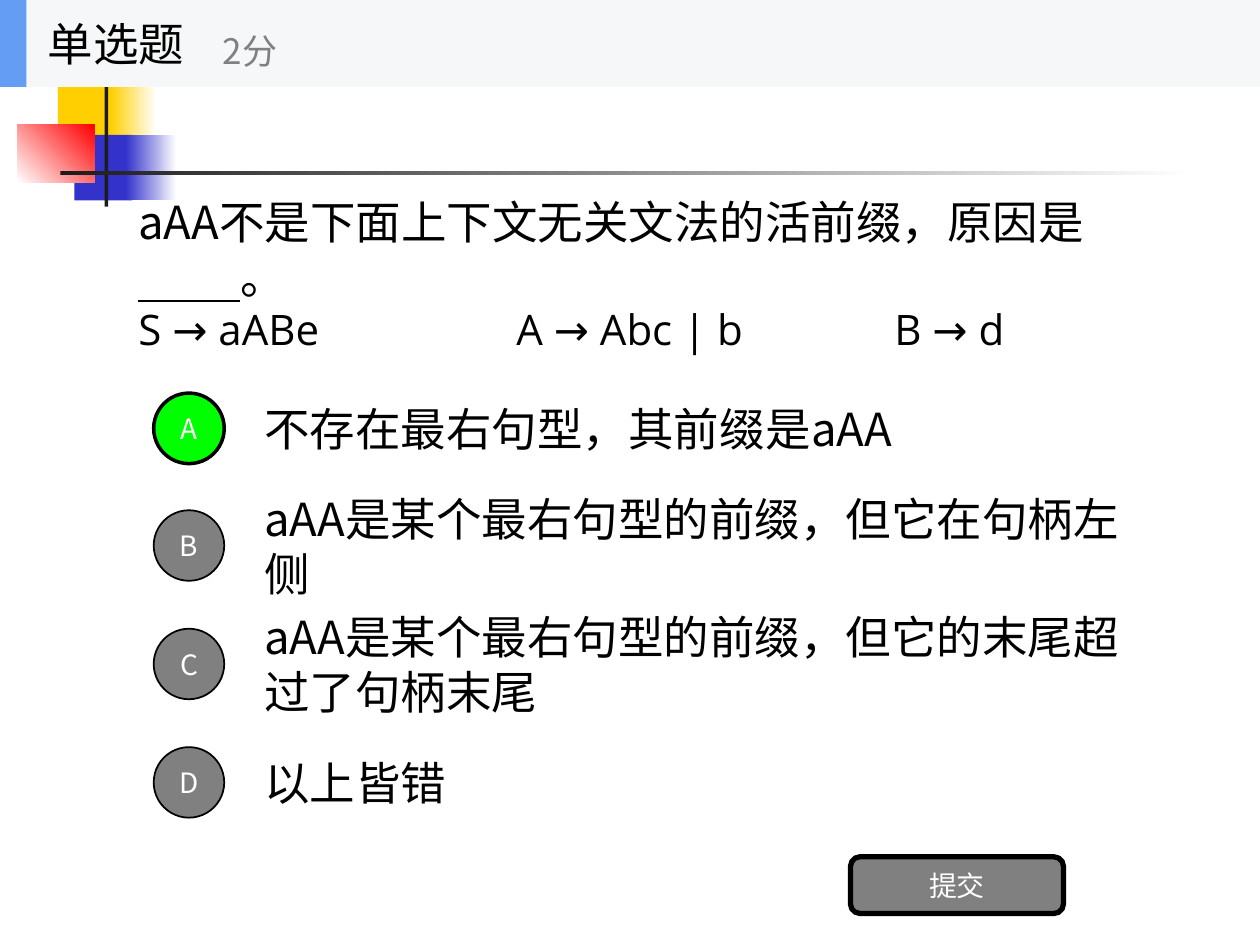
from typing import NamedTuple

from lxml import etree
from pptx import Presentation
from pptx.dml.color import RGBColor
from pptx.enum.shapes import MSO_SHAPE
from pptx.enum.text import MSO_ANCHOR, PP_ALIGN
from pptx.oxml.ns import qn
from pptx.util import Pt

PX = 9144  # 100 px to the inch

RECT, OVAL = MSO_SHAPE.RECTANGLE, MSO_SHAPE.OVAL
ROUND = MSO_SHAPE.ROUNDED_RECTANGLE
MIDDLE = MSO_ANCHOR.MIDDLE
LEFT, CENTER = PP_ALIGN.LEFT, PP_ALIGN.CENTER

BLACK = RGBColor(0x00, 0x00, 0x00)
WHITE = RGBColor(0xFF, 0xFF, 0xFF)
GRAY = RGBColor(0x80, 0x80, 0x80)
GREEN = RGBColor(0x00, 0xFF, 0x00)
GOLD = RGBColor(0xFF, 0xCF, 0x01)
BLUE = RGBColor(0x33, 0x33, 0xCC)
RED = RGBColor(0xFF, 0x00, 0x00)
INK = RGBColor(0x1C, 0x1C, 0x1C)
PALE = RGBColor(0xF6, 0xF7, 0xF8)
SKY = RGBColor(0x63, 0x9E, 0xF4)

HAN, LATIN = "Noto Sans CJK SC", "Open Sans"
BLANK = " " * 10  # underlined as the place for the answer


class Box(NamedTuple):
    left: int
    top: int
    width: int
    height: int


class Block(NamedTuple):
    box: Box
    color: RGBColor
    end: RGBColor | None = None
    angle: int = 0


class Choice(NamedTuple):
    letter: str
    text: str
    right: bool = False


DECOR = [
    Block(Box(46, 61, 48, 52), GOLD),
    Block(Box(88, 61, 36, 52), GOLD, WHITE),
    Block(Box(59, 107, 46, 52), BLUE),
    Block(Box(100, 107, 40, 52), BLUE, WHITE),
    Block(Box(14, 99, 61, 46), WHITE, RED, 45),
    Block(Box(83, 49, 3, 115), INK),
    Block(Box(48, 136, 900, 3), INK, WHITE),
]
HEADER = [
    Block(Box(0, 0, 1000, 69), PALE),
    Block(Box(0, 0, 21, 69), SKY),
]
CHOICES = [
    Choice("A", "不存在最右句型，其前缀是aAA", True),
    Choice("B", "aAA是某个最右句型的前缀，但它在句柄左侧"),
    Choice("C", "aAA是某个最右句型的前缀，但它的末尾超过了句柄末尾"),
    Choice("D", "以上皆错"),
]


def scale(box: Box) -> list[int]:
    return [PX * side for side in box]


def add_run(para, text: str, size: int, color=BLACK, face=HAN, under=False):
    run = para.add_run()
    run.text = text
    font = run.font
    font.size, font.name, font.underline = Pt(size), face, under
    font.color.rgb = color
    etree.SubElement(font._element, qn("a:ea")).set("typeface", face)


def set_tabs(para, *stops: int):
    tabs = etree.SubElement(para._p.get_or_add_pPr(), qn("a:tabLst"))
    for stop in stops:
        etree.SubElement(tabs, qn("a:tab"), pos=str(stop * PX), algn="l")


def add_shape(slide, kind, box: Box):
    shape = slide.shapes.add_shape(kind, *scale(box))
    shape.shadow.inherit = False
    return shape


def add_block(slide, block: Block):
    shape = add_shape(slide, RECT, block.box)
    shape.line.fill.background()
    fill = shape.fill
    if block.end is None:
        fill.solid()
        fill.fore_color.rgb = block.color
        return
    fill.gradient()
    fill.gradient_angle = block.angle
    for stop, color in zip(fill.gradient_stops, (block.color, block.end)):
        stop.color.rgb = color


def add_button(slide, kind, box: Box, label: str, color: RGBColor, weight: int):
    shape = add_shape(slide, kind, box)
    shape.fill.solid()
    shape.fill.fore_color.rgb = color
    shape.line.color.rgb = BLACK
    shape.line.width = Pt(weight)
    frame = shape.text_frame
    frame.word_wrap = False
    frame.vertical_anchor = MIDDLE
    para = frame.paragraphs[0]
    para.alignment = CENTER
    add_run(para, label, 16, WHITE)


def add_frame(slide, box: Box, wrap: bool = True):
    frame = slide.shapes.add_textbox(*scale(box)).text_frame
    frame.word_wrap = wrap
    frame.vertical_anchor = MIDDLE
    frame.paragraphs[0].alignment = LEFT
    return frame


def add_question(slide):
    frame = add_frame(slide, Box(100, 131, 800, 173))
    ask = frame.paragraphs[0]
    add_run(ask, "aAA不是下面上下文无关文法的活前缀，原因是", 26)
    ask.add_line_break()
    add_run(ask, BLANK, 26, under=True)
    add_run(ask, "。", 26)
    rules = frame.add_paragraph()
    set_tabs(rules, 300, 600)
    add_run(rules, "S → aABe\tA → Abc | b\tB → d", 24, face=LATIN)


def add_choice(slide, choice: Choice, top: int):
    para = add_frame(slide, Box(200, top, 700, 70)).paragraphs[0]
    add_run(para, choice.text, 26)
    color, weight = (GREEN, 2) if choice.right else (GRAY, 1)
    add_button(slide, OVAL, Box(122, top + 7, 56, 56), choice.letter, color, weight)


def add_label(slide, box: Box, text: str, size: int, color: RGBColor):
    add_run(add_frame(slide, box, False).paragraphs[0], text, size, color)


def main():
    deck = Presentation()
    deck.slide_width, deck.slide_height = 1000 * PX, 750 * PX
    slide = deck.slides.add_slide(deck.slide_layouts[6])

    for block in DECOR:
        add_block(slide, block)
    add_question(slide)
    for i, choice in enumerate(CHOICES):
        add_choice(slide, choice, 305 + i * 281 // 3)
    add_button(slide, ROUND, Box(675, 680, 169, 45), "提交", GRAY, 3)

    for block in HEADER:
        add_block(slide, block)
    add_label(slide, Box(28, 0, 208, 69), "单选题", 26, BLACK)
    add_label(slide, Box(167, 12, 250, 56), "2分", 20, GRAY)
    deck.save("out.pptx")


if __name__ == "__main__":
    main()
